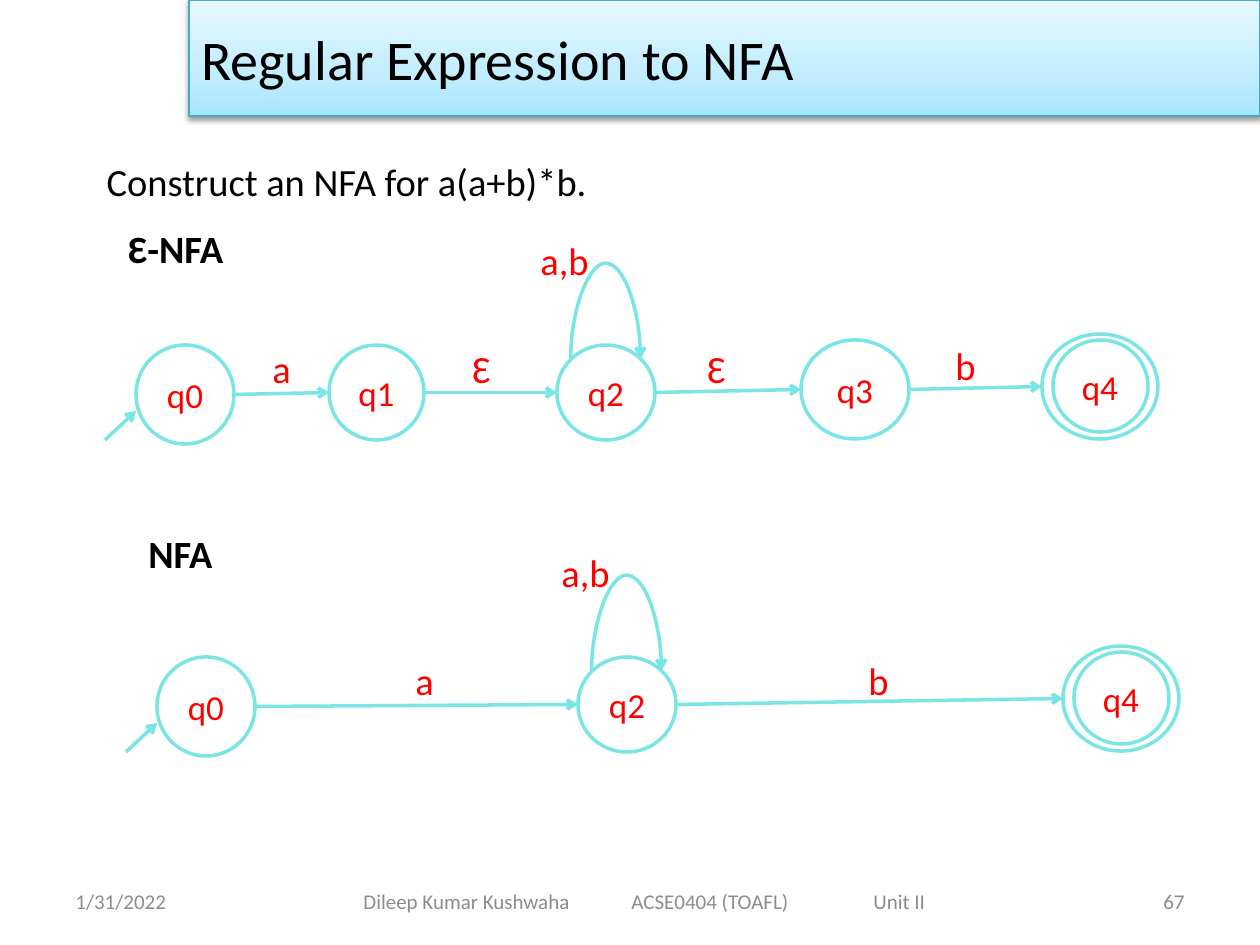
from dataclasses import dataclass

from lxml import etree
from pptx import Presentation, util as u
from pptx.dml.color import RGBColor
from pptx.enum import shapes, text
from pptx.oxml import parse_xml
from pptx.oxml.ns import nsdecls, qn

PX = 914400 / 126
TEAL, RED, BLACK, GREY = "7BE5E5", "FF0000", "000000", "8C8C8C"
LEFT, CENTER, RIGHT = text.PP_ALIGN.LEFT, text.PP_ALIGN.CENTER, text.PP_ALIGN.RIGHT
MIDDLE, TOP = text.MSO_ANCHOR.MIDDLE, text.MSO_ANCHOR.TOP


@dataclass(frozen=True)
class Box:
    x: int
    y: int
    w: int
    h: int


@dataclass(frozen=True)
class State:
    name: str
    box: Box
    final: bool = False


@dataclass(frozen=True)
class Label:
    words: str
    box: Box


@dataclass(frozen=True)
class Automaton:
    dx: int
    dy: int
    heading: Label
    states: tuple[State, ...]
    labels: tuple[Label, ...]


def px(n: float) -> u.Emu:
    return u.Emu(round(n * PX))


def emu(b: Box) -> tuple:
    return px(b.x), px(b.y), px(b.w), px(b.h)


def color(value: str) -> RGBColor:
    return RGBColor.from_string(value)


def write(sp, words: str, size: int, hue: str, align=LEFT, anchor=MIDDLE,
          bold: bool = False, tabs: tuple[int, ...] = ()) -> None:
    tf = sp.text_frame
    frame = {"word_wrap": True, "auto_size": text.MSO_AUTO_SIZE.NONE,
             "vertical_anchor": anchor}
    for name, value in frame.items():
        setattr(tf, name, value)
    p = tf.paragraphs[0]
    p.text = words
    p.alignment = align
    if tabs:
        lst = etree.SubElement(p._p.get_or_add_pPr(), qn("a:tabLst"))
        for pos in tabs:
            etree.SubElement(lst, qn("a:tab"), pos=str(px(pos)), algn="l")
    for r in p.runs:
        for name, value in {"name": "Calibri", "size": u.Pt(size), "bold": bold}.items():
            setattr(r.font, name, value)
        r.font.color.rgb = color(hue)


def add_text(parent, words: str, box: Box, size: int, hue: str, **fmt) -> None:
    write(parent.add_textbox(*emu(box)), words, size, hue, **fmt)


def outline(sp, hue: str, width: float) -> None:
    sp.line.color.rgb = color(hue)
    sp.line.width = u.Pt(width)


def add_circle(parent, box: Box):
    sp = parent.add_shape(shapes.MSO_SHAPE.OVAL, *emu(box))
    sp.shadow.inherit = False
    sp.fill.background()
    outline(sp, TEAL, 2)
    return sp


def add_state(parent, state: State) -> None:
    b = state.box
    write(add_circle(parent, b), state.name, 20, RED, align=CENTER)
    if state.final:
        add_circle(parent, Box(b.x + 11, b.y + 6, b.w - 21, b.h - 13))


def add_arrow(parent, x1: float, y1: float, x2: float, y2: float,
              kind=shapes.MSO_CONNECTOR.STRAIGHT):
    c = parent.add_connector(kind, px(x1), px(y1), px(x2), px(y2))
    outline(c, TEAL, 2)
    spPr = c.element.spPr
    etree.SubElement(spPr.find(qn("a:ln")), qn("a:tailEnd"), type="arrow")
    etree.SubElement(spPr, qn("a:effectLst"))
    return c


def add_loop(parent, b: Box, height: int = 97, span: int = 70) -> None:
    x, y = b.x + b.w // 2 - 1, b.y + 14
    c = add_arrow(parent, x, y - span // 2, x + 1, y + span // 2,
                  shapes.MSO_CONNECTOR.CURVE)
    xfrm = c.element.spPr.find(qn("a:xfrm"))
    for name, value in {"rot": "5400000", "flipH": "1", "flipV": "1"}.items():
        xfrm.set(name, value)
    guides = c.element.spPr.find(qn("a:prstGeom")).find(qn("a:avLst"))
    etree.SubElement(guides, qn("a:gd"), name="adj1", fmla=f"val {height * 100000}")


def add_automaton(s, fa: Automaton) -> None:
    def moved(b: Box) -> Box:
        return Box(b.x + fa.dx, b.y + fa.dy, b.w, b.h)

    parent = s.shapes.add_group_shape().shapes
    states = [State(q.name, moved(q.box), q.final) for q in fa.states]
    for q in states:
        add_state(parent, q)
        if q.name == "q2":
            add_loop(parent, q.box)
    for a, b in zip(states, states[1:]):
        add_arrow(parent, a.box.x + a.box.w, a.box.y + a.box.h / 2,
                  b.box.x, b.box.y + b.box.h / 2)
    start = states[0].box
    add_arrow(parent, start.x - 31, start.y + 95, start.x, start.y + 66)
    for label in fa.labels:
        add_text(parent, label.words, moved(label.box), 22, RED, anchor=TOP)
    add_text(parent, fa.heading.words, moved(fa.heading.box), 22, BLACK, bold=True)


def add_banner(s) -> None:
    sp = s.shapes.add_shape(shapes.MSO_SHAPE.RECTANGLE, *emu(Box(189, 0, 1071, 116)))
    stops = "".join(f'<a:gs pos="{pos * 1000}"><a:srgbClr val="{hue}"/></a:gs>'
                    for pos, hue in ((0, "A7E6FF"), (35, "C1EDFF"), (100, "E7F8FF")))
    spPr = sp.element.spPr
    spPr.insert(2, parse_xml(
        f'<a:gradFill {nsdecls("a")} rotWithShape="1"><a:gsLst>{stops}</a:gsLst>'
        '<a:lin ang="16200000" scaled="0"/></a:gradFill>'))
    outline(sp, "46AAC5", 0.75)
    spPr.append(parse_xml(
        f'<a:effectLst {nsdecls("a")}><a:outerShdw blurRad="{u.Pt(3.1)}" '
        f'dist="{u.Pt(1.6)}" dir="5400000" rotWithShape="0"><a:srgbClr val="000000">'
        '<a:alpha val="38000"/></a:srgbClr></a:outerShdw></a:effectLst>'))
    write(sp, "Regular Expression to NFA", 32, BLACK)


def main() -> None:
    prs = Presentation()
    prs.slide_width, prs.slide_height = px(1260), px(945)
    s = prs.slides.add_slide(prs.slide_layouts[5])
    title = s.shapes.title
    for name, value in zip(("left", "top", "width", "height"), emu(Box(94, 147, 1134, 69))):
        setattr(title, name, value)
    write(title, "Construct an NFA for a(a+b)*b.", 22, BLACK)

    add_text(s.shapes, "1/31/2022", Box(63, 876, 294, 50), 12, GREY)
    add_text(s.shapes, "Dileep Kumar Kushwaha\tACSE0404 (TOAFL)\tUnit II",
             Box(351, 876, 594, 50), 12, GREY, tabs=(268, 510))
    add_text(s.shapes, "67", Box(903, 876, 294, 50), 12, GREY, align=RIGHT)
    add_banner(s)

    q0 = State("q0", Box(136, 345, 98, 99))
    q1 = State("q1", Box(329, 345, 95, 95))
    q2 = State("q2", Box(557, 345, 98, 95))
    q3 = State("q3", Box(801, 340, 108, 99))
    q4 = State("q4", Box(1042, 334, 116, 105), final=True)
    loop = Label("a,b", Box(528, 231, 84, 59))
    add_automaton(s, Automaton(
        0, 0, Label("Ɛ-NFA", Box(116, 214, 147, 69)), (q0, q1, q2, q3, q4),
        (Label("a", Box(260, 339, 58, 59)), Label("Ɛ", Box(460, 339, 58, 59)),
         Label("Ɛ", Box(695, 339, 58, 59)), Label("b", Box(943, 336, 58, 59)), loop)))
    add_automaton(s, Automaton(
        21, 312, Label("NFA", Box(115, 207, 126, 69)), (q0, q2, q4),
        (Label("a", Box(382, 339, 58, 59)), Label("b", Box(835, 339, 58, 59)), loop)))
    prs.save("out.pptx")


if __name__ == "__main__":
    main()
